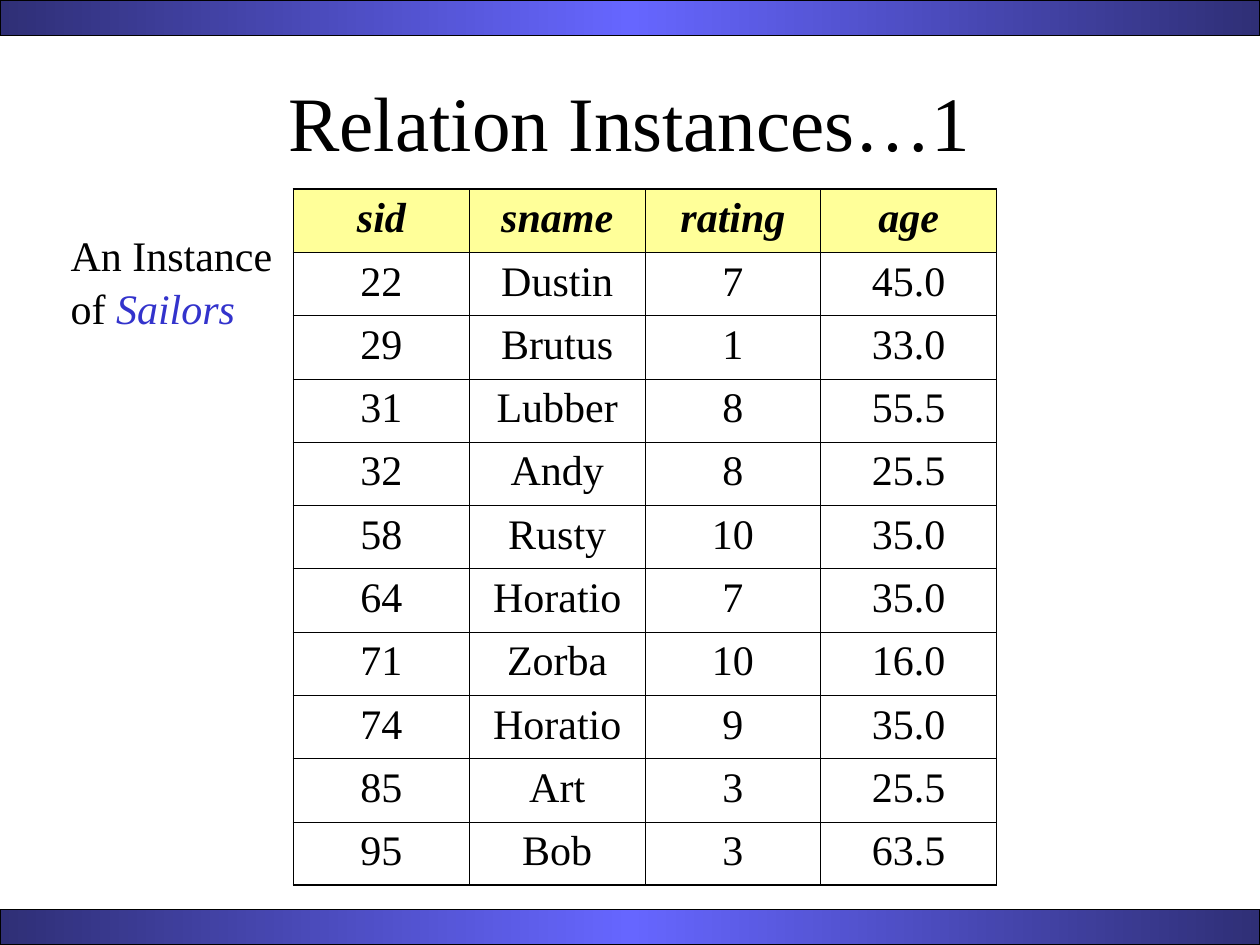
import pptx
import pptx.dml.color
import pptx.enum.dml
import pptx.enum.shapes
import pptx.enum.text
import pptx.oxml
import pptx.oxml.ns
import pptx.util
from pptx.util import Inches

FONT = "Times New Roman"
COLORS = {
    "text": "000000",
    "accent": "3333CC",
    "header": "FFFF99",
    "cell": "FFFFFF",
    "bar_edge": "2F2F76",
    "bar_middle": "6666FF",
}
SAILORS = [
    ("sid", "sname", "rating", "age"),
    ("22", "Dustin", "7", "45.0"),
    ("29", "Brutus", "1", "33.0"),
    ("31", "Lubber", "8", "55.5"),
    ("32", "Andy", "8", "25.5"),
    ("58", "Rusty", "10", "35.0"),
    ("64", "Horatio", "7", "35.0"),
    ("71", "Zorba", "10", "16.0"),
    ("74", "Horatio", "9", "35.0"),
    ("85", "Art", "3", "25.5"),
    ("95", "Bob", "3", "63.5"),
]
THIN, THICK = 0.45, 1.08


def color(name):
    return pptx.dml.color.RGBColor.from_string(COLORS[name])


def set_font(font, size):
    font.name = FONT
    font.size = pptx.util.Pt(size)
    font.color.rgb = color("text")


def place(shape, left, top, width, height):
    shape.left, shape.top = Inches(left), Inches(top)
    shape.width, shape.height = Inches(width), Inches(height)


def add_bar(slide, top):
    """Full-width band, dark at both ends and bright in the middle."""
    bar = slide.shapes.add_shape(
        pptx.enum.shapes.MSO_SHAPE.RECTANGLE,
        0, Inches(top), Inches(10), Inches(0.28))
    bar.shadow.inherit = False
    bar.line.color.rgb = color("text")
    bar.line.width = pptx.util.Pt(0.74)
    bar.fill.gradient()
    bar.fill.gradient_angle = 0
    stops = bar._element.spPr.find(".//" + pptx.oxml.ns.qn("a:gsLst"))
    for stop in list(stops):
        stops.remove(stop)
    for percent, name in ((0, "bar_edge"), (50, "bar_middle"), (100, "bar_edge")):
        stops.append(pptx.oxml.parse_xml(
            f'<a:gs {pptx.oxml.ns.nsdecls("a")} pos="{percent * 1000}">'
            f'<a:srgbClr val="{COLORS[name]}"/></a:gs>'))
    # Keep the band behind the placeholders
    slide.shapes._spTree.remove(bar._element)
    slide.shapes._spTree.insert(2, bar._element)


def fill_title(title):
    place(title, 0.75, 0.33, 8.5, 1.25)
    frame = title.text_frame
    frame.text = "Relation Instances…1"
    frame.auto_size = pptx.enum.text.MSO_AUTO_SIZE.NONE
    frame.vertical_anchor = pptx.enum.text.MSO_ANCHOR.MIDDLE
    para = frame.paragraphs[0]
    para.alignment = pptx.enum.text.PP_ALIGN.CENTER
    set_font(para.font, 44)


def fill_caption(body):
    place(body, 0.08, 1.75, 2.25, 1.08)
    frame = body.text_frame
    frame.auto_size = pptx.enum.text.MSO_AUTO_SIZE.NONE
    para = frame.paragraphs[0]
    para.space_before = pptx.util.Pt(6)
    para.line_spacing = 1.05
    set_font(para.font, 24)
    # Indented text without a bullet
    properties = para._p.get_or_add_pPr()
    properties.set("marL", str(Inches(0.38)))
    properties.set("indent", "0")
    properties.insert_element_before(
        pptx.oxml.parse_xml(f'<a:buNone {pptx.oxml.ns.nsdecls("a")}/>'),
        "a:tabLst", "a:defRPr", "a:extLst")
    para.add_run().text = "An Instance of "
    span = para.add_run()
    span.text = "Sailors"
    span.font.italic = True
    span.font.color.rgb = color("accent")


def set_borders(cell, widths):
    """Draw cell borders; widths maps the sides L, R, T, B to points."""
    properties = cell._tc.get_or_add_tcPr()
    for side, points in widths.items():
        properties.append(pptx.oxml.parse_xml(
            f'<a:ln{side} {pptx.oxml.ns.nsdecls("a")} w="{pptx.util.Pt(points)}">'
            f'<a:solidFill><a:srgbClr val="{COLORS["text"]}"/></a:solidFill>'
            f'</a:ln{side}>'))


def add_table(slide, rows):
    row_count, column_count = len(rows), len(rows[0])
    table = slide.shapes.add_table(
        row_count, column_count,
        Inches(2.33), Inches(1.5), Inches(5.58), Inches(5.53)).table
    table.horz_banding = False
    table.first_row = False
    for r, values in enumerate(rows):
        for c, value in enumerate(values):
            cell = table.cell(r, c)
            cell.text = value
            para = cell.text_frame.paragraphs[0]
            para.alignment = pptx.enum.text.PP_ALIGN.CENTER
            para.space_before = pptx.util.Pt(6)
            set_font(para.font, 24)
            para.font.bold = para.font.italic = r == 0
            # Thick outer frame, thin inner grid
            set_borders(cell, {
                "L": THICK if c == 0 else THIN,
                "R": THICK if c == column_count - 1 else THIN,
                "T": THICK if r == 0 else THIN,
                "B": THICK if r == row_count - 1 else THIN,
            })
            cell.fill.solid()
            cell.fill.fore_color.rgb = color("header" if r == 0 else "cell")


def main():
    deck = pptx.Presentation()
    deck.slide_width, deck.slide_height = Inches(10), Inches(7.5)
    slide = deck.slides.add_slide(deck.slide_layouts[1])
    for top in (0, 7.22):
        add_bar(slide, top)
    fill_title(slide.shapes.title)
    fill_caption(slide.placeholders[1])
    add_table(slide, SAILORS)
    deck.save("out.pptx")


main()
